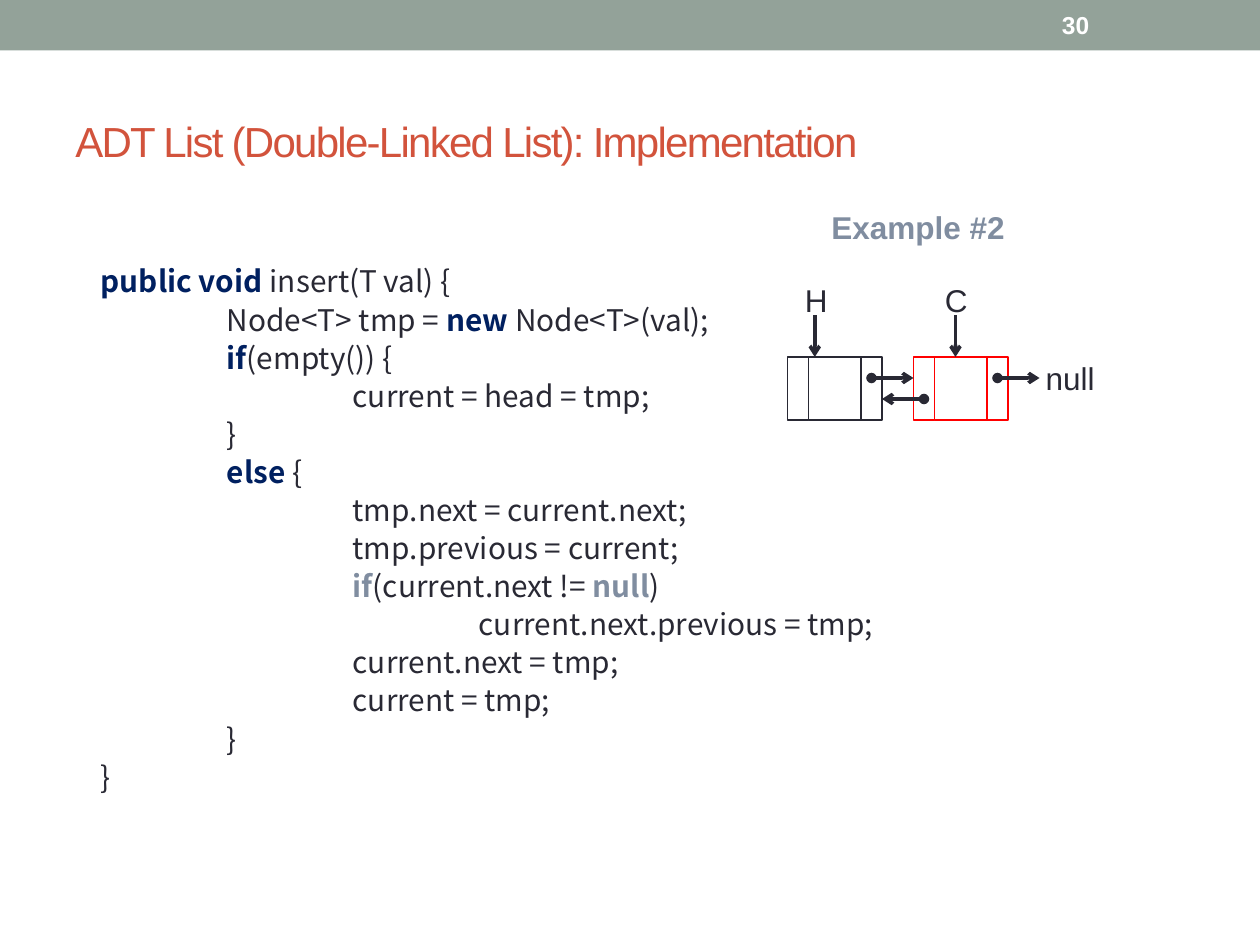
from lxml import etree
from pptx import Presentation
from pptx import util as u
from pptx.dml.color import RGBColor
from pptx.enum import shapes, text
from pptx.oxml import ns

COLORS = {"band": "93A299", "title": "D2533C", "ink": "292934", "keyword": "002060",
          "muted": "808DA0", "red": "FF0000", "white": "FFFFFF"}
SANS, CODE_FONT = "Arial", "Noto Sans CJK SC"
GRID = 1 / 12

CODE = [
    (0, [("public void ", "keyword"), ("insert(T val) {", "ink")]),
    (1, [("Node<T> tmp = ", "ink"), ("new", "keyword"), (" Node<T>(val);", "ink")]),
    (1, [("if", "keyword"), ("(empty()) {", "ink")]),
    (2, [("current = head = tmp;", "ink")]),
    (1, [("}", "ink")]),
    (1, [("else", "keyword"), (" {", "ink")]),
    (2, [("tmp.next = current.next;", "ink")]),
    (2, [("tmp.previous = current;", "ink")]),
    (2, [("if", "muted"), ("(current.next != ", "ink"), ("null", "muted"), (")", "ink")]),
    (3, [("current.next.previous = tmp;", "ink")]),
    (2, [("current.next = tmp;", "ink")]),
    (2, [("current = tmp;", "ink")]),
    (1, [("}", "ink")]),
    (0, [("}", "ink")]),
]
LABELS = [
    ("ADT List (Double-Linked List): Implementation", (0.5, 0.58, 9, 1.08), 24, "title", False, True),
    ("30", (8.33, 0.02, 1.17, 0.36), 14, "white", True, True),
    ("Example #2", (6.5, 1.6, 1.64, 0.4), 18, "muted", True, False),
    ("H", (6.29, 2.18, 0.39, 0.4), 18, "ink", False, False),
    ("C", (7.4, 2.18, 0.39, 0.4), 18, "ink", False, False),
    ("null", (8.2, 2.8, 0.66, 0.4), 18, "ink", False, False),
]
NODES = [(75, "ink"), (87, "red")]
NODE_CELLS = [(2, 5), (7, 2), (0, 2)]
NODE_TOP, NODE_HEIGHT = 34, 6
ARROWS = [
    ((77.6, 30), (77.6, 34), None, "arrow"),
    ((91, 30), (91, 34), None, "arrow"),
    ((83, 36), (87, 36), "oval", "arrow"),
    ((84, 38), (88, 38), "arrow", "oval"),
    ((95, 36), (99, 36), "oval", "arrow"),
]


def color(name):
    return RGBColor.from_string(COLORS[name])


def inches(*values):
    return [u.Inches(value) for value in values]


def grid(*values):
    return inches(*(value * GRID for value in values))


def apply(target, values):
    for name, value in values.items():
        setattr(target, name, value)


def add_run(paragraph, words, font_name, size, color_name, bold):
    run = paragraph.add_run()
    run.text = words
    apply(run.font, {"name": font_name, "size": u.Pt(size), "bold": bold})
    run.font.color.rgb = color(color_name)
    properties = run.font._element
    etree.SubElement(properties, ns.qn("a:ea")).set("typeface", font_name)
    return properties


def add_label(slide, words, place, size, color_name, bold, wraps):
    frame = slide.shapes.add_textbox(*inches(*place)).text_frame
    apply(frame, {"word_wrap": wraps, "vertical_anchor":
                  text.MSO_ANCHOR.MIDDLE if wraps else text.MSO_ANCHOR.TOP})
    properties = add_run(frame.paragraphs[0], words, SANS, size, color_name, bold)
    if color_name == "title":
        properties.set("spc", "-100")


def add_code(slide):
    frame = slide.shapes.add_textbox(*inches(0.8, 2.07, 8.6, 4.3)).text_frame
    apply(frame, {"word_wrap": True, "margin_left": 0, "margin_right": 0,
                  "margin_top": 0, "margin_bottom": 0})
    for index, (level, runs) in enumerate(CODE):
        paragraph = frame.add_paragraph() if index else frame.paragraphs[0]
        paragraph.line_spacing = u.Pt(21.76)
        paragraph._p.get_or_add_pPr().set("marL", str(u.Inches(level)))
        for words, color_name in runs:
            add_run(paragraph, words, CODE_FONT, 17, color_name, color_name != "ink")


def add_node(slide, left, color_name):
    group = slide.shapes.add_group_shape()
    for offset, width in NODE_CELLS:
        cell = group.shapes.add_shape(
            shapes.MSO_SHAPE.RECTANGLE, *grid(left + offset, NODE_TOP, width, NODE_HEIGHT))
        cell.shadow.inherit = False
        cell.fill.background()
        cell.line.color.rgb = color(color_name)
        cell.line.width = u.Pt(0.75)


def add_arrow(slide, start, end, head, tail):
    connector = slide.shapes.add_connector(
        shapes.MSO_CONNECTOR.STRAIGHT, *grid(*start, *end))
    connector.line.color.rgb = color("ink")
    connector.line.width = u.Pt(2)
    properties = connector._element.spPr
    line = properties.find(ns.qn("a:ln"))
    for tag, kind in (("a:headEnd", head), ("a:tailEnd", tail)):
        if kind:
            etree.SubElement(line, ns.qn(tag)).set("type", kind)
    etree.SubElement(properties, ns.qn("a:effectLst"))


def main():
    presentation = Presentation()
    apply(presentation, {"slide_width": u.Inches(10), "slide_height": u.Inches(7.5)})
    slide = presentation.slides.add_slide(presentation.slide_layouts[6])
    band = slide.shapes.add_shape(shapes.MSO_SHAPE.RECTANGLE, *inches(0, 0, 10, 0.4))
    band.shadow.inherit = False
    band.fill.solid()
    band.fill.fore_color.rgb = color("band")
    band.line.fill.background()
    for label in LABELS:
        add_label(slide, *label)
    add_code(slide)
    for node in NODES:
        add_node(slide, *node)
    for arrow in ARROWS:
        add_arrow(slide, *arrow)
    presentation.save("out.pptx")


if __name__ == "__main__":
    main()
